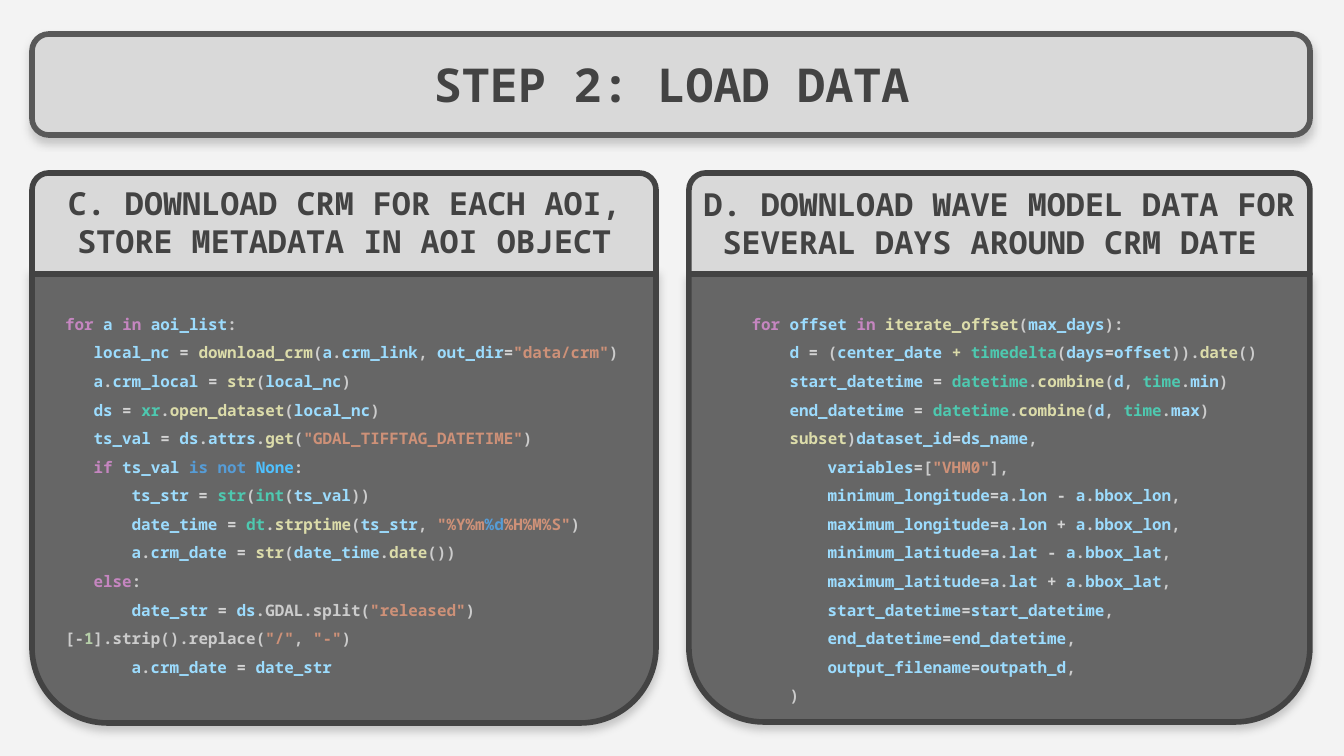
from typing import NamedTuple

from lxml import etree
from pptx import Presentation
from pptx.dml.color import RGBColor
from pptx.enum.shapes import MSO_SHAPE
from pptx.enum.text import MSO_ANCHOR, PP_ALIGN
from pptx.oxml.ns import qn
from pptx.util import Pt

ROUND = MSO_SHAPE.ROUNDED_RECTANGLE
HALF = MSO_SHAPE.ROUND_2_SAME_RECTANGLE
TOP, BOTTOM = MSO_ANCHOR.TOP, MSO_ANCHOR.BOTTOM
CENTER = PP_ALIGN.CENTER

SCALE = 914400 / 134.4  # EMU per px
FONT = "Noto Sans Mono"
CHAR = Pt(5.1)  # width of one code character
INSET = 13
CURVE = 0.167
DARK, EDGE, LIGHT, BODY, PAGE = "434343", "595959", "D9D9D9", "666666", "F3F3F3"

# Code colours by the letter that follows each "~"
INK = {
    "k": "C586C0",  # keyword
    "v": "9CDCFE",  # variable
    "p": "CCCCCC",  # punctuation
    "o": "D4D4D4",  # operator
    "f": "DCDCAA",  # function
    "s": "CE9178",  # string
    "t": "4EC9B0",  # type
    "b": "569CD6",  # word operator
    "c": "4FC1FF",  # constant
    "n": "B5CEA8",  # number
}


class Box(NamedTuple):
    left: int
    top: int
    width: int
    height: int


class Line(NamedTuple):
    indent: int  # in characters
    code: str


class Panel(NamedTuple):
    head: Box
    body: Box
    label: Box
    text: Box
    title: list[str]
    lines: list[Line]


def emu(px: int) -> int:
    return round(px * SCALE)


def color(code: str) -> RGBColor:
    return RGBColor.from_string(code)


def cast(shape) -> None:
    """Give the shape a soft shadow below it."""
    effects = shape._element.spPr.find(qn("a:effectLst"))
    outer = etree.SubElement(effects, qn("a:outerShdw"), blurRad=str(Pt(4.5)),
                             dist=str(Pt(3)), dir="5400000", algn="bl",
                             rotWithShape="0")
    tint = etree.SubElement(outer, qn("a:srgbClr"), val=DARK)
    etree.SubElement(tint, qn("a:alpha"), val="25000")


def draw(slide, kind, box: Box, fill: str, edge: str,
         curves: tuple[float, ...], shade: bool = False) -> None:
    shape = slide.shapes.add_shape(kind, *map(emu, box))
    for i, curve in enumerate(curves):
        shape.adjustments[i] = curve
    shape.fill.solid()
    shape.fill.fore_color.rgb = color(fill)
    shape.line.color.rgb = color(edge)
    shape.line.width = Pt(3)
    shape.shadow.inherit = False
    if shade:
        cast(shape)


def frame(slide, box: Box, anchor=TOP):
    text = slide.shapes.add_textbox(*map(emu, box)).text_frame
    text.word_wrap = True
    text.vertical_anchor = anchor
    text.margin_left = text.margin_right = emu(INSET)
    text.margin_top = text.margin_bottom = emu(INSET)
    return text


def style(run, size: float, ink: str) -> None:
    run.font.name = FONT
    run.font.size = Pt(size)
    run.font.bold = True
    run.font.color.rgb = color(ink)


def write(slide, box: Box, rows: list[str], size: float, anchor=TOP) -> None:
    text = frame(slide, box, anchor)
    text.text = "\n".join(rows)
    for para in text.paragraphs:
        para.alignment = CENTER
        for run in para.runs:
            style(run, size, DARK)


def list_code(slide, box: Box, lines: list[Line]) -> None:
    text = frame(slide, box)
    for i, line in enumerate(lines):
        para = text.add_paragraph() if i else text.paragraphs[0]
        para.line_spacing = 1.5
        # First-line indent only, so that a wrapped line returns to the margin
        props = para._p.get_or_add_pPr()
        props.set("marL", "0")
        props.set("indent", str(line.indent * CHAR))
        for token in line.code.split("~")[1:]:
            run = para.add_run()
            run.text = token[1:]
            style(run, 8.5, INK[token[0]])


def draw_panel(slide, panel: Panel) -> None:
    draw(slide, HALF, panel.body, BODY, DARK, (0, CURVE), True)
    draw(slide, HALF, panel.head, LIGHT, DARK, (CURVE, 0))
    write(slide, panel.label, panel.title, 17)
    list_code(slide, panel.text, panel.lines)


# Code listings
LOAD = [
    Line(0, '~kfor ~va ~kin ~vaoi_list~p:'),
    Line(3, '~vlocal_nc ~o= ~fdownload_crm~p(~va~p.~vcrm_link~p, ~vout_dir~o=~s"data/crm"~p)'),
    Line(3, '~va~p.~vcrm_local ~o= ~fstr~p(~vlocal_nc~p)'),
    Line(3, '~vds ~o= ~txr~p.~fopen_dataset~p(~vlocal_nc~p)'),
    Line(3, '~vts_val ~o= ~vds~p.~vattrs~p.~fget~p(~s"GDAL_TIFFTAG_DATETIME"~p)'),
    Line(3, '~kif ~vts_val ~bis not ~cNone~p:'),
    Line(7, '~vts_str ~o= ~tstr~p(~tint~p(~vts_val~p))'),
    Line(7, '~vdate_time ~o= ~tdt~p.~fstrptime~p(~vts_str~p, ~s"%Y%m~b%d~s%H%M%S"~p)'),
    Line(7, '~va~p.~vcrm_date ~o= ~fstr~p(~vdate_time~p.~fdate~p())'),
    Line(3, '~kelse~p:'),
    Line(7, '~vdate_str ~o= ~vds~p.GDAL.split(~s"released"~p)[~o-~n1'
            '~p].strip().replace(~s"/"~p, ~s"-"~p)'),
    Line(7, '~va~p.~vcrm_date ~o= ~vdate_str'),
]
LIMITS = [
    Line(11, f'~v{end}_{axis}itude~o=~va~p.~v{axis[:3]} ~o{sign} ~va~p.~vbbox_{axis[:3]}~p,')
    for axis in ("long", "lat")
    for end, sign in (("minimum", "-"), ("maximum", "+"))
]
SPANS = [
    Line(7, f'~v{end}_datetime ~o= ~tdatetime~p.~fcombine~p(~vd~p, ~ttime~p.~v{edge}~p)')
    for end, edge in (("start", "min"), ("end", "max"))
]
PASSED = [
    Line(11, f'~v{name}~o=~v{value}~p,')
    for name, value in (("start_datetime", "start_datetime"),
                        ("end_datetime", "end_datetime"),
                        ("output_filename", "outpath_d"))
]
WAVES = [
    Line(3, '~kfor ~voffset ~kin ~fiterate_offset~p(~vmax_days~p):'),
    Line(7, '~vd ~o= ~p(~vcenter_date ~f+ ~ttimedelta~p(~vdays~o=~voffset~p)).~fdate~p()'),
    *SPANS,
    Line(7, '~fsubset~p)~vdataset_id~o=~vds_name~p,'),
    Line(11, '~vvariables~o=~p[~s"VHM0"~p],'),
    *LIMITS,
    *PASSED,
    Line(7, '~p)'),
]
PANELS = [
    Panel(Box(32, 173, 624, 101), Box(32, 270, 624, 453),
          Box(34, 171, 621, 105), Box(52, 292, 582, 410),
          ["C. DOWNLOAD CRM FOR EACH AOI, STORE METADATA IN AOI OBJECT"], LOAD),
    Panel(Box(689, 173, 621, 101), Box(689, 274, 621, 448),
          Box(689, 172, 621, 101), Box(710, 292, 582, 410),
          ["D. DOWNLOAD WAVE MODEL DATA FOR", "SEVERAL DAYS AROUND CRM DATE "], WAVES),
]


def main() -> None:
    deck = Presentation()
    deck.slide_width, deck.slide_height = emu(1344), emu(756)
    slide = deck.slides.add_slide(deck.slide_layouts[6])
    slide.background.fill.solid()
    slide.background.fill.fore_color.rgb = color(PAGE)

    # Code panels
    for panel in PANELS:
        draw_panel(slide, panel)

    # Title bar
    draw(slide, ROUND, Box(32, 34, 1278, 101), LIGHT, EDGE, (CURVE,), True)
    write(slide, Box(51, 44, 1241, 81), ["STEP 2: LOAD DATA"], 25, BOTTOM)

    deck.save("out.pptx")


if __name__ == "__main__":
    main()
